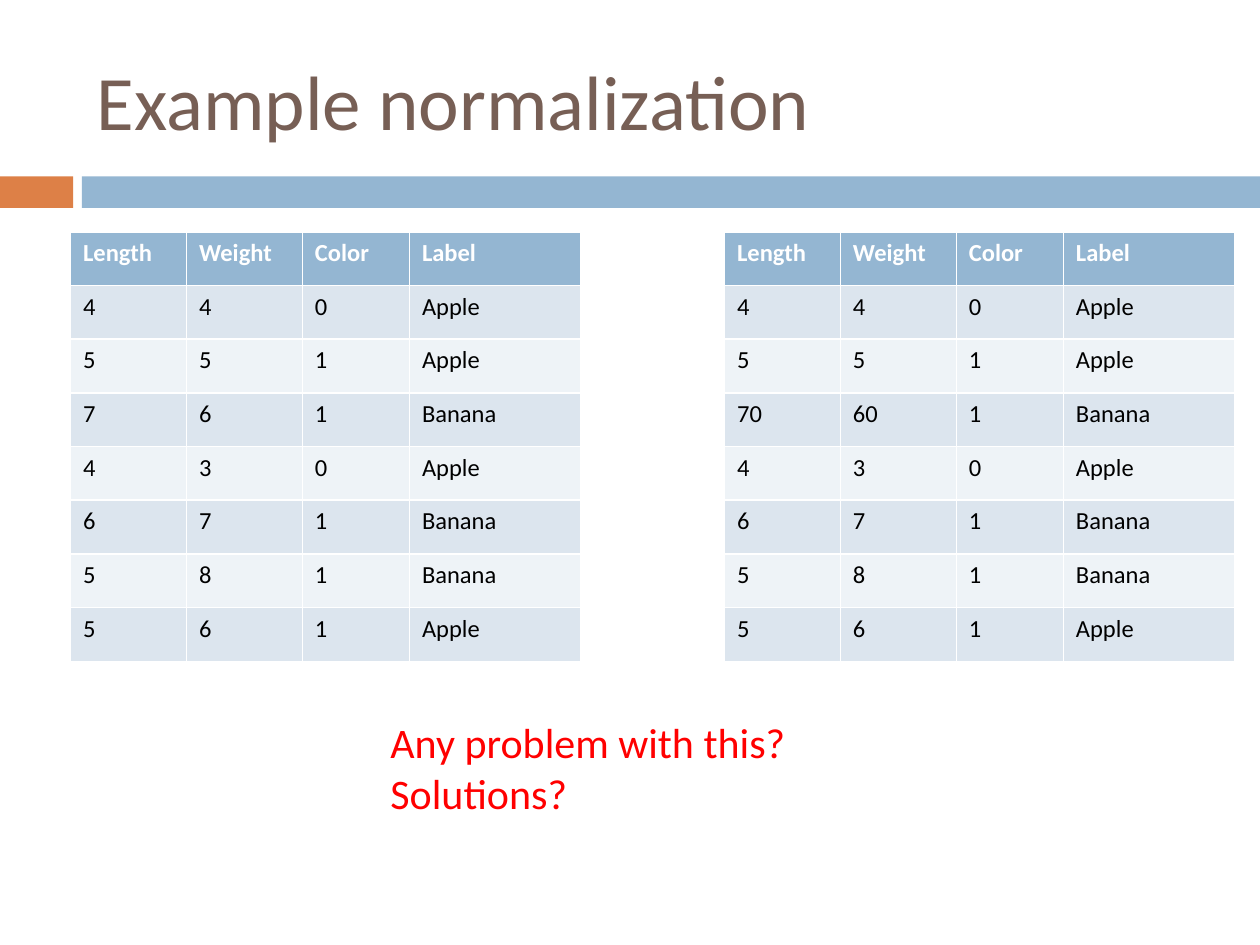
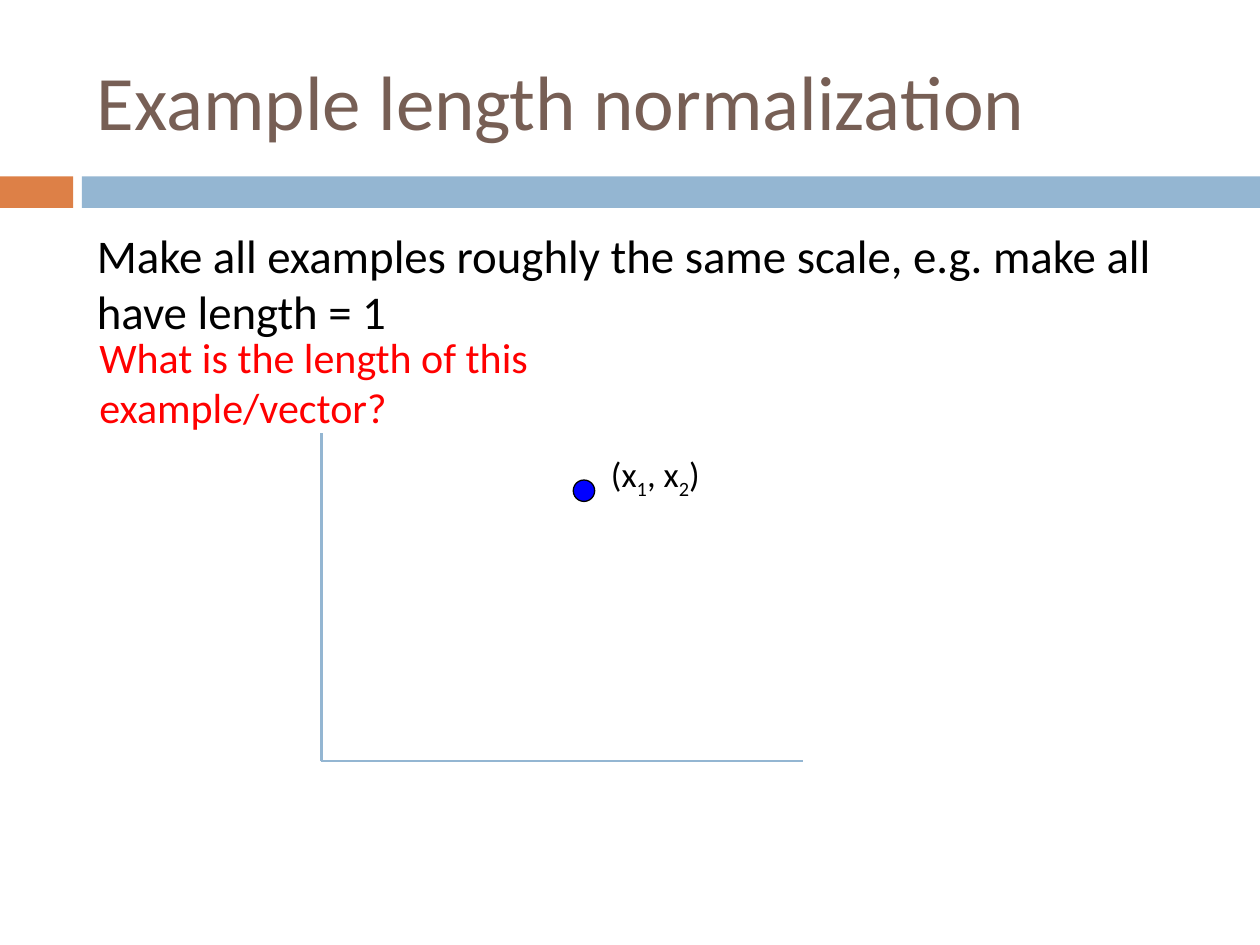
from dataclasses import dataclass

from lxml.etree import SubElement
from pptx import Presentation
from pptx.dml.color import RGBColor
from pptx.enum.shapes import MSO_CONNECTOR, MSO_SHAPE
from pptx.enum.text import MSO_ANCHOR
from pptx.oxml.ns import qn
from pptx.util import Inches, Pt


@dataclass(frozen=True)
class Theme:
    font: str = "Calibri"
    brown: RGBColor = RGBColor.from_string("775F55")
    orange: RGBColor = RGBColor.from_string("DD8047")
    blue: RGBColor = RGBColor.from_string("94B6D2")
    band_dark: RGBColor = RGBColor.from_string("DCE5EE")
    band_light: RGBColor = RGBColor.from_string("EEF3F7")
    point: RGBColor = RGBColor.from_string("0000FF")
    red: RGBColor = RGBColor.from_string("FF0000")
    black: RGBColor = RGBColor.from_string("000000")
    white: RGBColor = RGBColor.from_string("FFFFFF")
    title_size: float = 44
    body_size: float = 26.8
    question_size: float = 24
    label_size: float = 20
    table_size: float = 14


theme = Theme()
presentation = Presentation()
presentation.slide_width, presentation.slide_height = Inches(10), Inches(7.5)

# The slide is a grid of 100 columns and 75 rows
column = presentation.slide_width / 100
row = presentation.slide_height / 75


def grid(left, top, width, height):
    return [round(left * column), round(top * row), round(width * column), round(height * row)]


def add_text(slide, place, lines, size, color, anchor=MSO_ANCHOR.TOP):
    """Add a text box; each line is a list of (text, baseline) runs or a string."""
    text_frame = slide.shapes.add_textbox(*grid(*place)).text_frame
    text_frame.word_wrap = True
    text_frame.vertical_anchor = anchor
    for index, line in enumerate(lines):
        paragraph = text_frame.paragraphs[0] if index == 0 else text_frame.add_paragraph()
        for text, baseline in [(line, 0)] if isinstance(line, str) else line:
            run = paragraph.add_run()
            run.text = text
            run.font.name, run.font.size = theme.font, Pt(size)
            run.font.color.rgb = color
            if baseline:
                run._r.get_or_add_rPr().set("baseline", str(baseline * 1000))
    return text_frame


# Shared parts: two bands and a title
slides = []
for title in ("Example normalization", "Example length normalization"):
    slide = presentation.slides.add_slide(presentation.slide_layouts[6])
    for left, width, color in ((0, 5.8, theme.orange), (6.5, 93.5, theme.blue)):
        band = slide.shapes.add_shape(MSO_SHAPE.RECTANGLE, *grid(left, 14, width, 2.5))
        band.shadow.inherit = False
        band.fill.solid()
        band.fill.fore_color.rgb = color
        band.line.fill.background()
    add_text(slide, (6.7, 2.5, 89.2, 10.8), [title], theme.title_size, theme.brown, MSO_ANCHOR.MIDDLE)
    slides.append(slide)
table_slide, vector_slide = slides

# Slide 1: the same examples twice, the third one scaled up on the right
header = ("Length", "Weight", "Color", "Label")
examples = [
    (4, 4, 0, "Apple"),
    (5, 5, 1, "Apple"),
    (7, 6, 1, "Banana"),
    (4, 3, 0, "Apple"),
    (6, 7, 1, "Banana"),
    (5, 8, 1, "Banana"),
    (5, 6, 1, "Apple"),
]
scaled_examples = examples[:2] + [(70, 60, 1, "Banana")] + examples[3:]
column_widths = (9.2, 9.2, 8.5, 13.6)

for left, records in ((5.6, examples), (57.5, scaled_examples)):
    rows = [header] + records
    place = grid(left, 18.4, sum(column_widths), 34.1)
    table = table_slide.shapes.add_table(len(rows), len(header), *place).table
    for table_column, width in zip(table.columns, column_widths):
        table_column.width = round(width * column)
    for row_index, values in enumerate(rows):
        is_header = row_index == 0
        band_color = theme.band_dark if row_index % 2 else theme.band_light
        for column_index, value in enumerate(values):
            cell = table.cell(row_index, column_index)
            cell.fill.solid()
            cell.fill.fore_color.rgb = theme.blue if is_header else band_color
            cell.text_frame.text = str(value)
            font = cell.text_frame.paragraphs[0].runs[0].font
            font.name, font.size, font.bold = theme.font, Pt(theme.table_size), is_header
            font.color.rgb = theme.white if is_header else theme.black

add_text(table_slide, (30, 56.4, 39.9, 9.1), ["Any problem with this?", "Solutions?"],
         theme.question_size, theme.red)

# Slide 2: statement and question
statement = add_text(vector_slide, (6.7, 17.5, 89.2, 8.6),
                     ["Make all examples roughly the same scale, e.g. make all have length = 1"],
                     theme.body_size, theme.black)
statement.paragraphs[0].space_before = Pt(7)
add_text(vector_slide, (6.9, 25.8, 59, 9.1), ["What is the length of this example/vector?"],
         theme.question_size, theme.red)

# Slide 2: label of the point, with subscripts
label = [("(x", 0), ("1", -25), (", x", 0), ("2", -25), (")", 0)]
add_text(vector_slide, (47.5, 35.4, 9.8, 4.4), [label], theme.label_size, theme.black).word_wrap = False

# Slide 2: axes from a common origin
origin_x, origin_y = 25.5, 60.4
for end_x, end_y in ((origin_x, 34.4), (63.7, origin_y)):
    axis = vector_slide.shapes.add_connector(
        MSO_CONNECTOR.STRAIGHT, *grid(origin_x, origin_y, end_x, end_y))
    axis.line.color.rgb = theme.blue
    axis.line.width = Pt(1.5)
    SubElement(axis._element.spPr, qn("a:effectLst"))

# Slide 2: the point
point = vector_slide.shapes.add_shape(MSO_SHAPE.OVAL, *grid(45.5, 38.1, 1.7, 1.7))
point.shadow.inherit = False
point.fill.solid()
point.fill.fore_color.rgb = theme.point
point.line.color.rgb = theme.black
point.line.width = Pt(0.75)

presentation.save("out.pptx")
